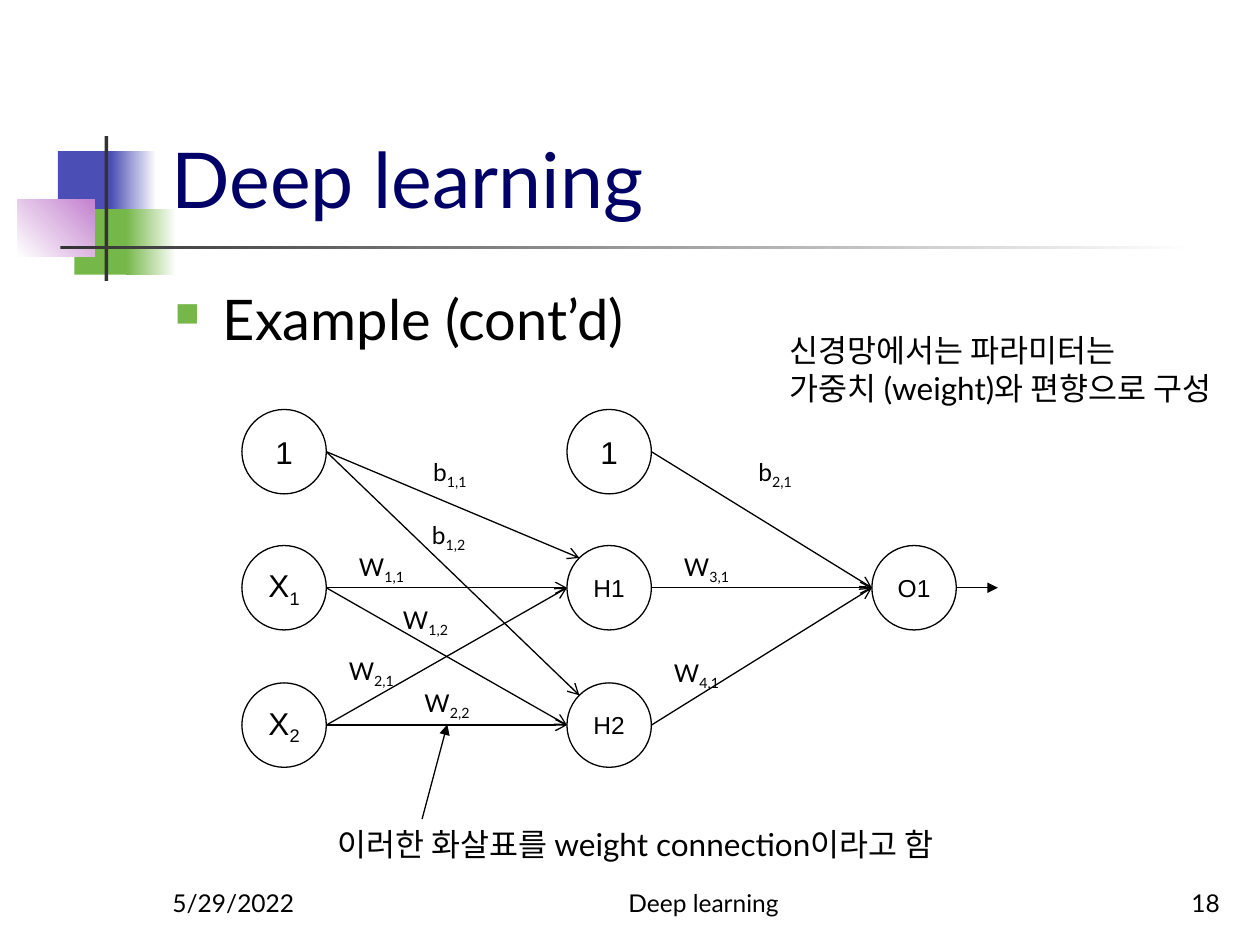
import math
from dataclasses import dataclass

import pptx
import pptx.dml.color
import pptx.enum.shapes
import pptx.enum.text
import pptx.oxml
import pptx.oxml.ns
import pptx.util
from pptx.util import Inches

ALIGN = pptx.enum.text.PP_ALIGN
ANCHOR = pptx.enum.text.MSO_ANCHOR
SHAPE = pptx.enum.shapes.MSO_SHAPE
BLACK, NAVY, GREEN, BLUE = "000000", "000066", "76B749", "4B4EB5"
PINK, GRAY, WHITE = "C481CF", "333333", "FFFFFF"
NODE_SIZE = 0.67
ROWS = [3.25, 4.33, 5.42]


@dataclass
class Block:
    left: float
    top: float
    width: float
    height: float
    start: str
    end: str = ""
    angle: float = 0


@dataclass
class Node:
    left: float
    top: float
    text: str
    sub: str = ""
    size: int = 18

    @property
    def center_y(self) -> float:
        return self.top + NODE_SIZE / 2

    @property
    def right_point(self) -> tuple[float, float]:
        return self.left + NODE_SIZE, self.center_y

    @property
    def left_point(self) -> tuple[float, float]:
        return self.left, self.center_y

    @property
    def upper_left_point(self) -> tuple[float, float]:
        inset = NODE_SIZE / 2 * (1 - math.sqrt(0.5))
        return self.left + inset, self.top + inset


@dataclass
class Label:
    left: float
    top: float
    text: str
    sub: str


BLOCKS = [
    Block(0.46, 1.2, 0.48, 0.52, BLUE),
    Block(0.88, 1.2, 0.36, 0.52, BLUE, WHITE),
    Block(0.59, 1.66, 0.46, 0.52, GREEN),
    Block(1, 1.66, 0.4, 0.52, GREEN, WHITE),
    Block(0.14, 1.58, 0.61, 0.46, WHITE, PINK, 45),
    Block(0.83, 1.08, 0.03, 1.15, GRAY),
    Block(0.48, 1.95, 9, 0.03, GRAY, WHITE),
]
INPUTS = [Node(1.92, y, *name) for y, name in zip(ROWS, [("1",), ("X", "1"), ("X", "2")])]
HIDDEN = [Node(4.5, ROWS[0], "1"), Node(4.5, ROWS[1], "H1", size=14),
          Node(4.5, ROWS[2], "H2", size=14)]
OUTPUT = Node(6.92, ROWS[1], "O1", size=14)
LABELS = [
    Label(3.34, 3.58, "b", "1,1"), Label(3.33, 4.08, "b", "1,2"),
    Label(2.75, 4.33, "W", "1,1"), Label(3.1, 4.75, "W", "1,2"),
    Label(2.67, 5.16, "W", "2,1"), Label(3.27, 5.41, "W", "2,2"),
    Label(5.92, 3.58, "b", "2,1"), Label(5.33, 4.33, "W", "3,1"),
    Label(5.25, 5.17, "W", "4,1"),
]


def color(value: str) -> pptx.dml.color.RGBColor:
    return pptx.dml.color.RGBColor.from_string(value)


def write(tf, text: str, size: int, sub: str = "", font: str = "Lato",
          fill: str = BLACK, align=ALIGN.LEFT) -> None:
    """Fill a text frame, with an optional subscript after the text."""
    tf.text = text
    if sub:
        r = tf.paragraphs[-1].add_run()
        r.text = sub
        r._r.get_or_add_rPr().set("baseline", "-25000")
    for p in tf.paragraphs:
        p.alignment = align
        for r in p.runs:
            r.font.size = pptx.util.Pt(size)
            r.font.name = font
            r.font.color.rgb = color(fill)


def add_text(slide, left: float, top: float, width: float, height: float,
             text: str, size: int, sub: str = "", align=ALIGN.LEFT,
             anchor=ANCHOR.TOP, wrap: bool = False):
    sp = slide.shapes.add_textbox(Inches(left), Inches(top), Inches(width), Inches(height))
    tf = sp.text_frame
    tf.word_wrap = wrap
    tf.vertical_anchor = anchor
    write(tf, text, size, sub, align=align)
    return tf


def add_block(slide, block: Block) -> None:
    sp = slide.shapes.add_shape(SHAPE.RECTANGLE, Inches(block.left), Inches(block.top),
                                Inches(block.width), Inches(block.height))
    sp.shadow.inherit = False
    sp.line.fill.background()
    if block.end:
        sp.fill.gradient()
        sp.fill.gradient_angle = block.angle
        for stop, value in zip(sp.fill.gradient_stops, (block.start, block.end)):
            stop.color.rgb = color(value)
    else:
        sp.fill.solid()
        sp.fill.fore_color.rgb = color(block.start)


def add_node(slide, node: Node) -> None:
    sp = slide.shapes.add_shape(SHAPE.OVAL, Inches(node.left), Inches(node.top),
                                Inches(NODE_SIZE), Inches(NODE_SIZE))
    sp.shadow.inherit = False
    sp.fill.background()
    sp.line.color.rgb = color(BLACK)
    sp.line.width = pptx.util.Pt(0.75)
    tf = sp.text_frame
    tf.word_wrap = False
    tf.vertical_anchor = ANCHOR.MIDDLE
    write(tf, node.text, node.size, node.sub, font="Arial", align=ALIGN.CENTER)


def add_arrow(slide, start: tuple[float, float], end: tuple[float, float],
              head: str = "arrow") -> None:
    cx = slide.shapes.add_connector(pptx.enum.shapes.MSO_CONNECTOR.STRAIGHT,
                                    *map(Inches, start + end))
    cx.line.color.rgb = color(BLACK)
    cx.line.width = pptx.util.Pt(0.75)
    ns = pptx.oxml.ns.nsdecls("a")
    cx.line._get_or_add_ln().append(
        pptx.oxml.parse_xml(f'<a:tailEnd {ns} type="{head}"/>'))
    cx._element.spPr.append(pptx.oxml.parse_xml(f"<a:effectLst {ns}/>"))


def add_bullet(p) -> None:
    pPr = p._p.get_or_add_pPr()
    pPr.set("marL", str(Inches(0.38)))
    pPr.set("indent", str(Inches(-0.38)))
    ns = pptx.oxml.ns.nsdecls("a")
    for tag in (f'<a:buClr {ns}><a:srgbClr val="{GREEN}"/></a:buClr>',
                f'<a:buSzPct {ns} val="60000"/>', f'<a:buChar {ns} char="■"/>'):
        pPr.append(pptx.oxml.parse_xml(tag))


def add_network(slide) -> None:
    for node in INPUTS + HIDDEN + [OUTPUT]:
        add_node(slide, node)
    bias, *features = INPUTS
    for unit in HIDDEN[1:]:
        add_arrow(slide, bias.right_point, unit.upper_left_point)
        for feature in features:
            add_arrow(slide, feature.right_point, unit.left_point)
    for unit in HIDDEN:
        add_arrow(slide, unit.right_point, OUTPUT.left_point)
    x, y = OUTPUT.right_point
    add_arrow(slide, (x, y), (7.92, y), "triangle")
    for label in LABELS:
        add_text(slide, label.left, label.top, 0.56, 0.34, label.text, 14, label.sub)


def main() -> None:
    prs = pptx.Presentation()
    prs.slide_width, prs.slide_height = Inches(10), Inches(7.5)
    slide = prs.slides.add_slide(prs.slide_layouts[5])
    for block in BLOCKS:
        add_block(slide, block)

    title = slide.shapes.title
    title.left, title.top, title.width, title.height = map(Inches, (1.26, 0.23, 8.52, 1.6))
    title.text_frame.vertical_anchor = ANCHOR.BOTTOM
    title.text_frame.auto_size = pptx.enum.text.MSO_AUTO_SIZE.NONE
    write(title.text_frame, "Deep learning", 44, fill=NAVY)

    body = add_text(slide, 1.29, 2.21, 8.5, 4.5, "Example (cont’d)", 32, wrap=True)
    add_bullet(body.paragraphs[0])
    for left, width, text, align in [(1.27, 2.08, "5/29/2022", ALIGN.LEFT),
                                     (4, 3.17, "Deep learning", ALIGN.CENTER),
                                     (7.7, 2.08, "18", ALIGN.RIGHT)]:
        add_text(slide, left, 6.83, width, 0.5, text, 14, align=align,
                 anchor=ANCHOR.BOTTOM, wrap=True)

    add_text(slide, 6.17, 2.58, 3.9, 0.71,
             "신경망에서는 파라미터는\n가중치 (weight)와 편향으로 구성", 18)
    add_network(slide)
    add_text(slide, 2.58, 6.5, 5.24, 0.4, "이러한 화살표를 weight connection이라고 함", 18)
    add_arrow(slide, (3.35, 6.5), (3.55, 5.75), "triangle")
    prs.save("out.pptx")


if __name__ == "__main__":
    main()
